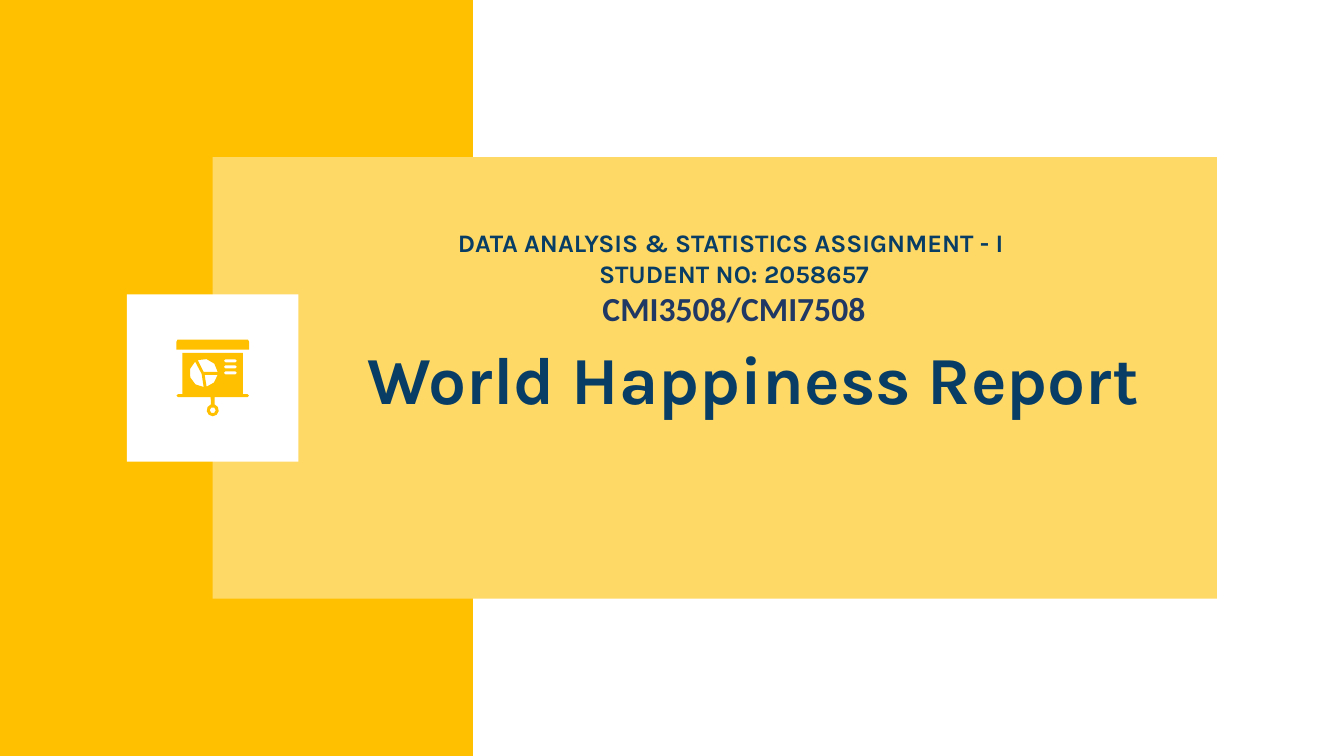
from math import cos, radians, sin

from pptx import Presentation
from pptx.dml.color import RGBColor
from pptx.enum.shapes import MSO_SHAPE
from pptx.enum.text import MSO_ANCHOR, PP_ALIGN
from pptx.util import Inches, Pt

COLORS = {"gold": "FFC000", "sand": "FFD966", "white": "FFFFFF", "navy": "083D65", "indigo": "203864"}

PANELS = [
    ((0, 0, 4.69, 7.5), "gold"),
    ((2.11, 1.56, 9.96, 4.38), "sand"),
    ((1.26, 2.92, 1.7, 1.66), "white"),
]
TITLE = [("World Happiness Report", 48, "Karla", "navy")]
DETAILS = [
    ("DATA ANALYSIS & STATISTICS ASSIGNMENT - I ", 18, "Karla", "navy"),
    ("STUDENT NO: 2058657", 18, "Karla", "navy"),
    ("CMI3508/CMI7508", 24, "Calibri", "indigo"),
]
HEADER = [(1.75, 3.47), (1.75, 3.39), (1.76, 3.37), (2.46, 3.37), (2.47, 3.39), (2.47, 3.47)]
PIE_CENTER = (2.02, 3.7)
PIE_SLICES = [((2, 3.71), 90, 233, 4), ((2.03, 3.72), 8, 78, 2), ((2.02, 3.69), 245, 356, 3)]
RING_CENTER = (2.11, 4.07)
BAR_CENTERS = [3.58, 3.64, 3.7]


def color(name):
    return RGBColor.from_string(COLORS[name])


def paint(shape, name):
    shape.fill.solid()
    shape.fill.fore_color.rgb = color(name)
    shape.line.fill.background()
    shape.shadow.inherit = False


def arc(center, radius, start, end, steps=2):
    angles = [radians(start + (end - start) * step / steps) for step in range(steps + 1)]
    return [(center[0] + radius * cos(angle), center[1] + radius * sin(angle)) for angle in angles]


def add_outline(shapes, contours, name):
    scaled = [[(Inches(x), Inches(y)) for x, y in contour] for contour in contours]
    builder = shapes.build_freeform(*scaled[0][0], scale=1.0)
    for number, contour in enumerate(scaled):
        if number:
            builder.move_to(*contour[0])
        builder.add_line_segments(contour[1:], close=True)
    paint(builder.convert_to_shape(), name)


def add_text(page, bounds, lines, alignment, anchor, margins):
    box = page.shapes.add_textbox(*map(Inches, bounds))
    frame = box.text_frame
    frame.word_wrap = True
    frame.vertical_anchor = anchor
    frame.margin_left = frame.margin_right = Inches(margins[0])
    frame.margin_top = frame.margin_bottom = Inches(margins[1])
    for number, (text, size, font, name) in enumerate(lines):
        para = frame.add_paragraph() if number else frame.paragraphs[0]
        para.alignment = alignment
        span = para.add_run()
        span.text = text
        span.font.size = Pt(size)
        span.font.name = font
        span.font.bold = True
        span.font.color.rgb = color(name)


def add_icon(page):
    icon = page.shapes.add_group_shape()
    add_outline(icon.shapes, [HEADER], "gold")
    board = [
        (1.81, 3.5), (2.41, 3.5), (2.41, 3.91),
        *arc((2.455, 3.925), 0.015, -90, 90),
        (2.13, 3.94),
        *arc(RING_CENTER, 0.06, 288, 612, 8),
        (2.09, 3.94),
        *arc((1.765, 3.925), 0.015, 90, 270),
        (1.81, 3.91),
    ]
    slices = [[apex, *arc(PIE_CENTER, 0.14, start, end, steps)] for apex, start, end, steps in PIE_SLICES]
    bars = [
        arc((2.235, y), 0.015, 90, 270) + arc((2.335, y), 0.015, -90, 90)
        for y in BAR_CENTERS
    ]
    add_outline(icon.shapes, [board, *slices, arc(RING_CENTER, 0.03, 0, 300, 5), *bars], "gold")


def main():
    deck = Presentation()
    deck.slide_width, deck.slide_height = Inches(13.33), Inches(7.5)
    page = deck.slides.add_slide(deck.slide_layouts[6])
    for bounds, name in PANELS:
        paint(page.shapes.add_shape(MSO_SHAPE.RECTANGLE, *map(Inches, bounds)), name)
    add_text(page, (3.65, 2.92, 7.73, 1.66), TITLE, PP_ALIGN.LEFT, MSO_ANCHOR.MIDDLE, (0, 0))
    add_icon(page)
    add_text(page, (3.65, 2.21, 7.26, 1.11), DETAILS, PP_ALIGN.CENTER, MSO_ANCHOR.TOP, (0.1, 0.05))
    deck.save("out.pptx")


if __name__ == "__main__":
    main()
